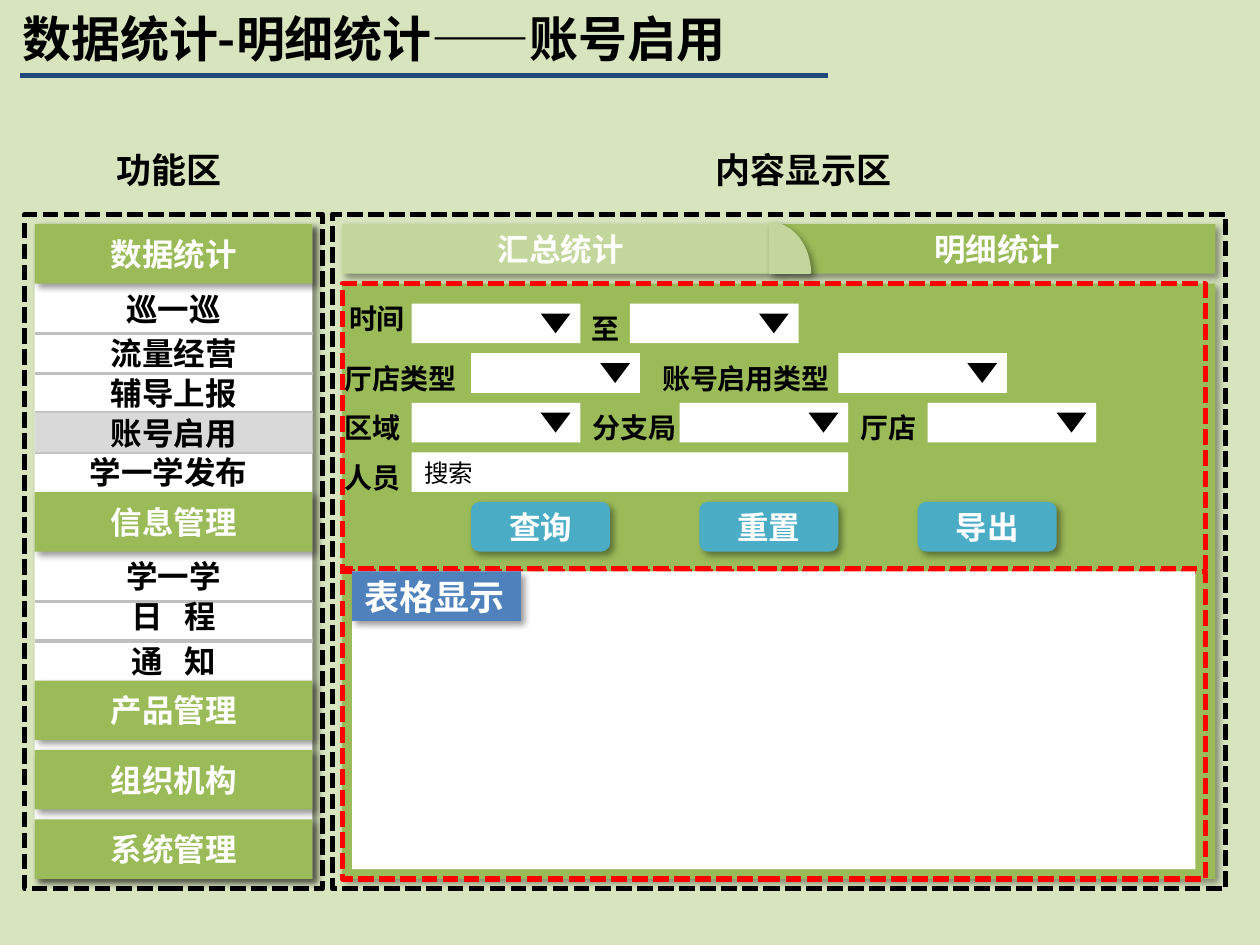
from dataclasses import dataclass

from lxml import etree
from pptx import Presentation
from pptx.dml.color import RGBColor
from pptx.enum.dml import MSO_LINE
from pptx.enum.shapes import MSO_CONNECTOR, MSO_SHAPE
from pptx.enum.text import MSO_ANCHOR, PP_ALIGN
from pptx.oxml.ns import qn
from pptx.util import Inches, Pt

RECTANGLE = MSO_SHAPE.RECTANGLE
ROUNDED = MSO_SHAPE.ROUNDED_RECTANGLE
TRIANGLE = MSO_SHAPE.ISOSCELES_TRIANGLE
ARC = MSO_SHAPE.ARC
STRAIGHT = MSO_CONNECTOR.STRAIGHT
DASH = MSO_LINE.SQUARE_DOT
MIDDLE = MSO_ANCHOR.MIDDLE
LEFT, CENTER = PP_ALIGN.LEFT, PP_ALIGN.CENTER
FONT = "Noto Sans CJK SC"
COLUMNS = 127
UNIT = Inches(10) / COLUMNS
BLACK, WHITE, RED = "000000", "FFFFFF", "FF0000"
GREEN, PALE_GREEN, BACKGROUND = "9BBB59", "C3D69B", "D7E4BD"
BLUE, TEAL, NAVY = "4F81BD", "4BACC6", "1F497D"
GREY, RULE_GREY = "D9D9D9", "BFBFBF"


@dataclass
class Box:
    left: float
    top: float
    width: float
    height: float

    def inner(self, column, row, width, height):
        return Box(self.left + column, self.top + row, width, height)

    def lengths(self):
        return [round(value * UNIT) for value in (self.left, self.top, self.width, self.height)]


def color(value):
    return RGBColor.from_string(value)


def add_shadow(shape):
    effects = shape._element.spPr.find(qn("a:effectLst"))
    shadow = etree.SubElement(effects, qn("a:outerShdw"), blurRad=str(Pt(4)),
                              dist=str(Pt(3)), dir="2700000", algn="tl", rotWithShape="0")
    shade = etree.SubElement(shadow, qn("a:srgbClr"), val=BLACK)
    etree.SubElement(shade, qn("a:alpha"), val="40000")


def write(shape, text, size=18, ink=BLACK, align=CENTER, bold=True, spacing=0):
    frame = shape.text_frame
    frame.word_wrap = True
    frame.vertical_anchor = MIDDLE
    paragraph = frame.paragraphs[0]
    paragraph.alignment = align
    run = paragraph.add_run()
    run.text = text
    for name, value in {"name": FONT, "size": Pt(size), "bold": bold}.items():
        setattr(run.font, name, value)
    run.font.color.rgb = color(ink)
    properties = run._r.get_or_add_rPr()
    etree.SubElement(properties, qn("a:ea"), typeface=FONT)
    if spacing:
        properties.set("spc", str(spacing * 100))


def add_label(slide, box, text, **style):
    write(slide.shapes.add_textbox(*box.lengths()), text, **style)


def add_block(slide, box, fill=None, text="", kind=RECTANGLE, shadow=False, line=None, dash=None, **style):
    shape = slide.shapes.add_shape(kind, *box.lengths())
    shape.shadow.inherit = False
    if fill:
        shape.fill.solid()
        shape.fill.fore_color.rgb = color(fill)
    else:
        shape.fill.background()
    if line:
        shape.line.color.rgb = color(line)
        shape.line.width = Pt(3)
        shape.line.dash_style = dash
    else:
        shape.line.fill.background()
    if shadow:
        add_shadow(shape)
    if text:
        write(shape, text, **style)
    return shape


def add_rule(slide, box, line, width):
    left, top, length, _ = box.lengths()
    connector = slide.shapes.add_connector(STRAIGHT, left, top, left + length, top)
    connector.line.color.rgb = color(line)
    connector.line.width = Pt(width)
    etree.SubElement(connector._element.spPr, qn("a:effectLst"))


def add_title(slide, box):
    add_label(slide, box, "数据统计-明细统计——账号启用", size=28, align=LEFT)
    add_rule(slide, box.inner(1, box.height, box.width, 0), NAVY, 3)


def add_area(slide, box, heading, heading_column):
    add_label(slide, box.inner(heading_column, -10, 27, 9), heading, size=20)
    add_block(slide, box.inner(-1, -1, box.width + 2, box.height + 2), line=BLACK, dash=DASH)


def add_menu(slide, box):
    add_block(slide, box, WHITE, shadow=True)
    add_area(slide, box, "功能区", 0)
    headers = {0: "数据统计", 27: "信息管理", 46: "产品管理", 53: "组织机构", 60: "系统管理"}
    for row, text in headers.items():
        add_block(slide, box.inner(0, row, box.width, 6), GREEN, text, shadow=True, ink=WHITE)
    for row in (11, 15, 19, 23, 38, 42):
        add_rule(slide, box.inner(0, row, box.width, 0), RULE_GREY, 2 if row == 42 else 1.75)
    entries = [
        (5, 6, 18, 5, "巡一巡", 0), (0, 11, 28, 4, "流量经营", 0),
        (6, 15, 16, 4, "辅导上报", 0), (4, 23, 19, 4, "学一学发布", 0),
        (6, 33, 16, 5, "学一学", 0), (6, 37, 16, 5, "日 程", 4), (6, 42, 16, 4, "通 知", 4),
    ]
    for column, row, width, height, text, spacing in entries:
        add_label(slide, box.inner(column, row, width, height), text, spacing=spacing)
    add_block(slide, box.inner(0, 19, box.width, 4), GREY, "账号启用")


def add_tabs(slide, box):
    half = box.width / 2
    for column, fill, text in ((half, GREEN, "明细统计"), (0, PALE_GREEN, "汇总统计")):
        add_block(slide, box.inner(column, 0, half, box.height), fill, text, shadow=True, ink=WHITE)
    add_block(slide, box.inner(half - 5, 0, 8, 10), PALE_GREEN, kind=ARC, shadow=True, line=PALE_GREEN)


def add_dropdown(slide, box):
    add_block(slide, box, WHITE)
    arrow = add_block(slide, box.inner(box.width - 4, 1, 3, 2), BLACK, kind=TRIANGLE)
    arrow.rotation = 180


def add_filters(slide, box):
    labels = [
        (-1, 1, 9, "时间", CENTER), (22, 2, 9, "至", CENTER),
        (-1, 7, 14, "厅店类型", LEFT), (31, 7, 21, "账号启用类型", LEFT),
        (-1, 12, 9, "区域", LEFT), (24, 12, 12, "分支局", LEFT), (51, 12, 9, "厅店", LEFT),
        (-1, 17, 9, "人员", LEFT),
    ]
    for row, columns in {2: (7, 29), 7: (13, 50), 12: (7, 34, 59)}.items():
        for column in columns:
            add_dropdown(slide, box.inner(column, row, 17, 4))
    add_block(slide, box.inner(7, 17, 44, 4), WHITE, "搜索", size=14, align=LEFT, bold=False)
    for column, row, width, text, align in labels:
        add_label(slide, box.inner(column, row, width, 5), text, size=16, align=align)
    for column, text in ((13, "查询"), (36, "重置"), (58, "导出")):
        add_block(slide, box.inner(column, 22, 14, 5), TEAL, text, ROUNDED, shadow=True, ink=WHITE)
    add_block(slide, box, line=RED, dash=DASH)


def add_results(slide, box):
    add_block(slide, box, line=RED, dash=DASH)
    add_block(slide, box.inner(1, 0, box.width - 2, box.height - 1), WHITE)
    add_block(slide, box.inner(1, 0, 17, 5), BLUE, "表格显示", shadow=True,
              size=20, ink=WHITE, align=LEFT)


def add_content(slide, box):
    add_area(slide, box, "内容显示区", 33)
    add_block(slide, box.inner(0, 6, box.width, box.height - 6), GREEN, shadow=True)
    add_tabs(slide, box.inner(0, 0, box.width, 5))
    add_filters(slide, box.inner(0, 6, box.width - 1, 28.7))
    add_results(slide, box.inner(0, 35, box.width - 1, 31))


presentation = Presentation()
presentation.slide_width, presentation.slide_height = Inches(10), Inches(7.5)
slide = presentation.slides.add_slide(presentation.slide_layouts[6])
add_block(slide, Box(0, 0, COLUMNS, COLUMNS * 0.75), BACKGROUND)
add_title(slide, Box(1, 0, 81.5, 7.6))
add_menu(slide, Box(3.5, 22.6, 28, 66))
add_content(slide, Box(34.5, 22.6, 88, 66))
presentation.save("out.pptx")
